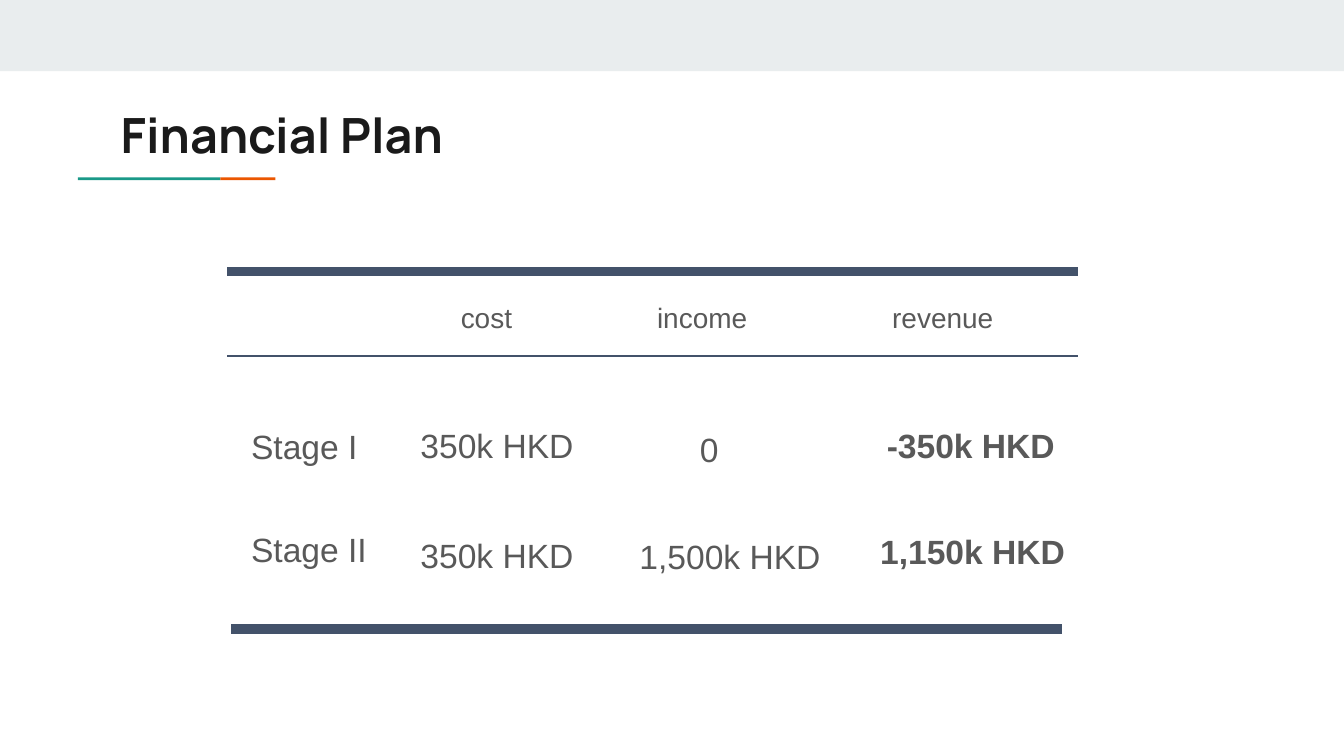
from lxml import etree
from pptx import Presentation
from pptx.dml.color import RGBColor
from pptx.enum.shapes import MSO_CONNECTOR, MSO_SHAPE
from pptx.enum.text import MSO_ANCHOR, MSO_AUTO_SIZE
from pptx.oxml.ns import qn
from pptx.util import Inches, Pt

RECT = MSO_SHAPE.RECTANGLE
STRAIGHT = MSO_CONNECTOR.STRAIGHT
TOP, MIDDLE = MSO_ANCHOR.TOP, MSO_ANCHOR.MIDDLE
FIT, NO_FIT = MSO_AUTO_SIZE.SHAPE_TO_FIT_TEXT, MSO_AUTO_SIZE.NONE

SLIDE_W = 10
SLIDE_H = SLIDE_W * 9 / 16
COLORS = {"band": "E9EDEE", "teal": "1A9988", "orange": "EB5600",
          "title": "1A1A1A", "rule": "43526A", "text": "595959"}
TITLE = {"name": "Manrope", "size": Pt(26), "bold": True}
HEADER = {"name": "Arial", "size": Pt(15), "bold": False}
BODY = {"name": "Arial", "size": Pt(18), "bold": False}
TOTAL = {**BODY, "bold": True}


def rgb(name):
    return RGBColor.from_string(COLORS[name])


def add_bar(s, x, y, w, h, color):
    sp = s.shapes.add_shape(RECT, Inches(x), Inches(y), Inches(w), Inches(h))
    sp.shadow.inherit = False
    sp.fill.solid()
    sp.fill.fore_color.rgb = rgb(color)
    sp.line.fill.background()


def add_rule(s, x, y, w, weight):
    line = s.shapes.add_connector(STRAIGHT, Inches(x), Inches(y), Inches(x + w), Inches(y))
    line.line.color.rgb = rgb("rule")
    line.line.width = Pt(weight)
    etree.SubElement(line._element.spPr, qn("a:effectLst"))


def add_text(s, x, y, w, h, text, font, color="text", wrap=False, fit=FIT, anchor=TOP):
    sp = s.shapes.add_textbox(Inches(x), Inches(y), Inches(w), Inches(h))
    tf = sp.text_frame
    tf.word_wrap, tf.auto_size, tf.vertical_anchor = wrap, fit, anchor
    r = tf.paragraphs[0].add_run()
    r.text = text
    for key, value in font.items():
        setattr(r.font, key, value)
    r.font.color.rgb = rgb(color)


def add_heading(s, x, y, w, h):
    add_text(s, x, y, w, h, "Financial Plan", TITLE, "title", True, NO_FIT, MIDDLE)
    left, teal_w, orange_w = x - 0.22, 1.06, 0.41
    add_bar(s, left, y + 0.64, teal_w, 0.02, "teal")
    add_bar(s, left + teal_w, y + 0.64, orange_w, 0.02, "orange")


def add_finance_table(s, x, y, w, h):
    """Place the ruled table; every cell is (text, left, top, width) from x, y."""
    add_rule(s, x, y, w, 5)
    add_rule(s, x, y + 0.63, w, 1)
    add_rule(s, x + 0.03, y + h, w - 0.15, 5)
    rows = [
        (HEADER, 0.35, [("cost", 1.64, 0.17, 0.59), ("income", 3.1, 0.17, 0.88),
                        ("revenue", 4.85, 0.17, 0.96)]),
        (BODY, 0.4, [("Stage I", 0.08, 1.1, 1), ("350k HKD", 1.34, 1.09, 1.35),
                     ("0", 3.42, 1.12, 0.34)]),
        (TOTAL, 0.4, [("-350k HKD", 4.81, 1.09, 1.46)]),
        (BODY, 0.4, [("Stage II", 0.08, 1.87, 1.07), ("350k HKD", 1.34, 1.91, 1.35),
                     ("1,500k HKD", 2.97, 1.92, 1.56)]),
        (TOTAL, 0.4, [("1,150k HKD", 4.76, 1.88, 1.59)]),
    ]
    for font, cell_h, cells in rows:
        for text, dx, dy, cell_w in cells:
            add_text(s, x + dx, y + dy, cell_w, cell_h, text, font)


def main():
    prs = Presentation()
    prs.slide_width, prs.slide_height = Inches(SLIDE_W), Inches(SLIDE_H)
    s = prs.slides.add_slide(prs.slide_layouts[6])
    add_bar(s, 0, 0, SLIDE_W, 0.53, "band")
    add_heading(s, 0.8, 0.68, 3.99, 0.63)
    add_finance_table(s, 1.69, 2.02, 6.33, 2.66)
    prs.save("out.pptx")


if __name__ == "__main__":
    main()
